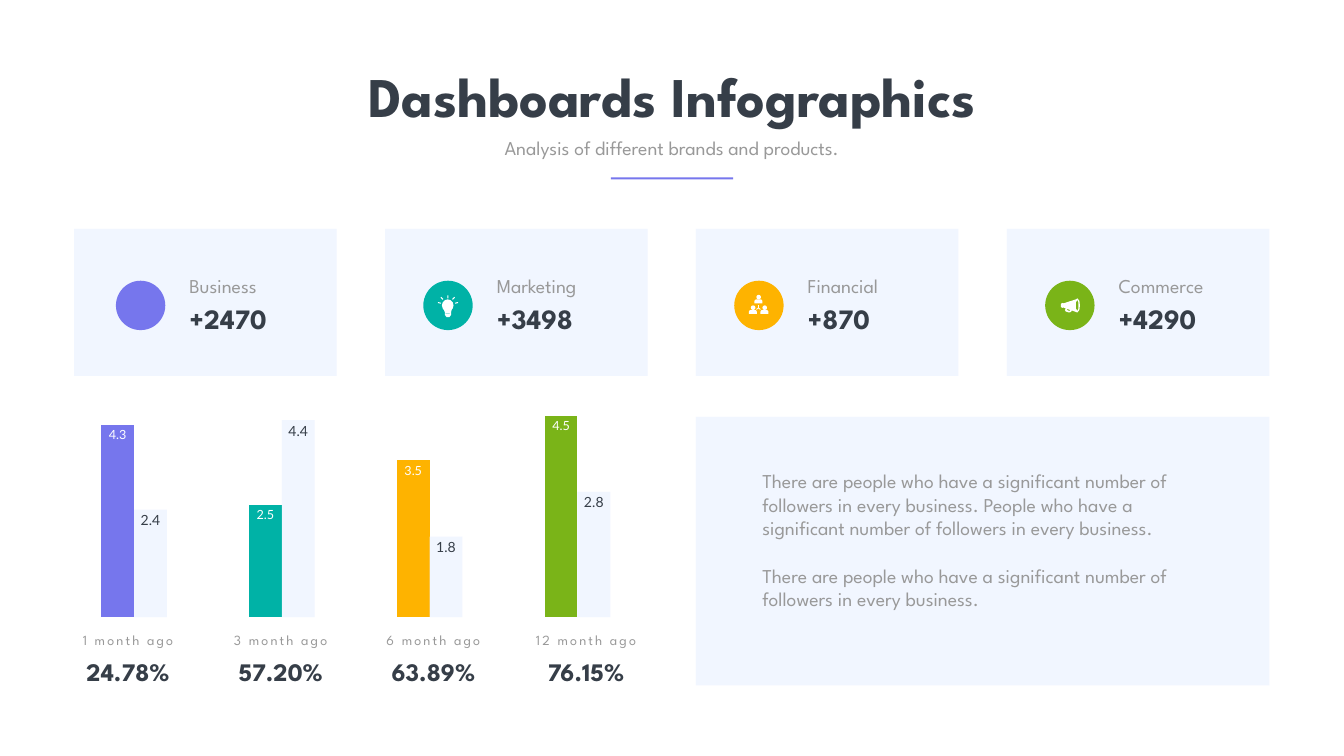
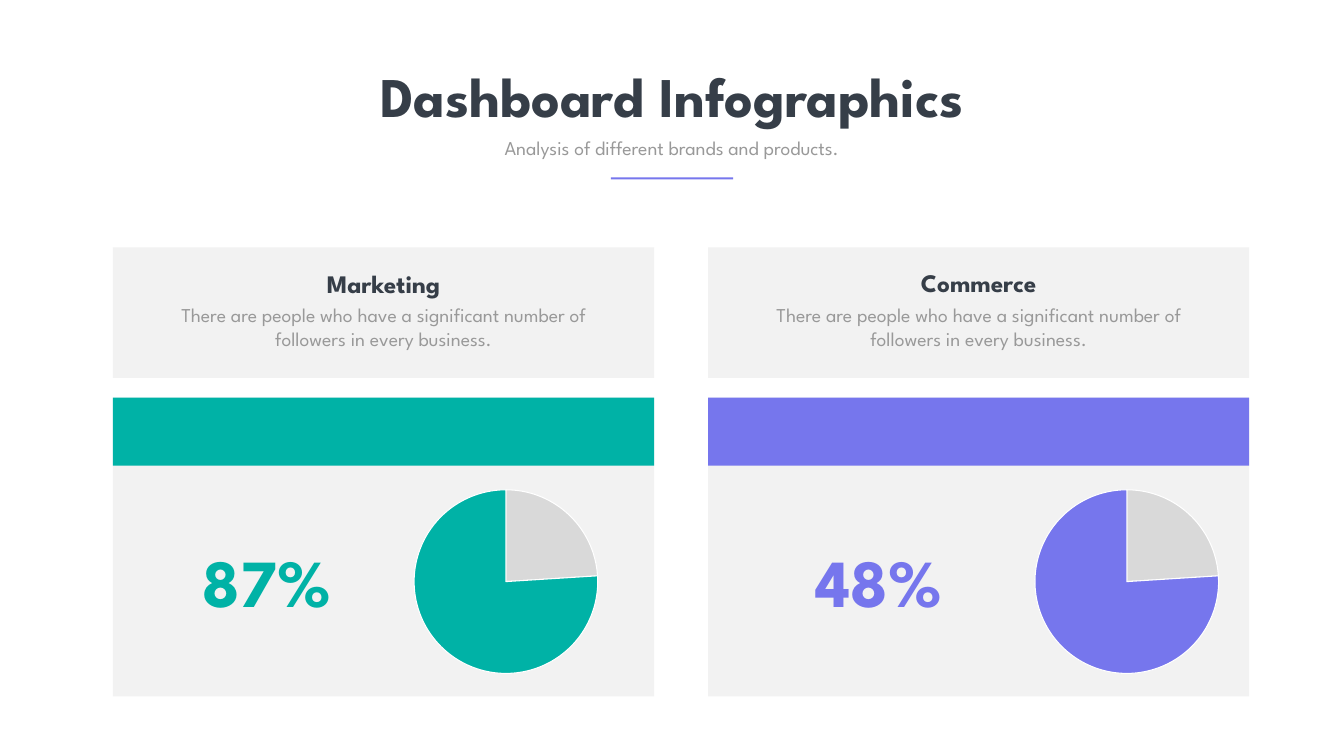
from dataclasses import dataclass

from lxml.etree import SubElement
from pptx import Presentation
from pptx.chart.data import CategoryChartData
from pptx.dml.color import RGBColor
from pptx.enum.chart import XL_CHART_TYPE, XL_LABEL_POSITION
from pptx.enum.shapes import MSO_CONNECTOR, MSO_SHAPE
from pptx.enum.text import MSO_AUTO_SIZE, PP_ALIGN
from pptx.oxml.ns import qn
from pptx.util import Pt

EMU_PER_PX = 9144  # 100 px to the inch


@dataclass(frozen=True)
class Theme:
    font: str = "League Spartan"
    chart_font: str = "Lato"
    pie_font: str = "Calibri"
    ink: str = "363E48"
    muted: str = "999999"
    white: str = "FFFFFF"
    violet: str = "7676ED"
    teal: str = "00B2A6"
    amber: str = "FEB300"
    green: str = "7AB418"
    tint: str = "EEF4FF"
    tint_alpha: str = "80000"
    panel: str = "F2F2F2"
    rest: str = "D9D9D9"
    title: int = 80
    body: int = 28
    figure: int = 40
    heading: int = 36
    caption: int = 20
    bar_label: int = 18
    pie_size: int = 10
    hero: int = 96


THEME = Theme()
SENTENCE = "There are people who have a significant number of followers in every business."


def px(*lengths):
    return [length * EMU_PER_PX for length in lengths]


def rgb(color):
    return RGBColor.from_string(color)


def paint(fill, color):
    fill.solid()
    fill.fore_color.rgb = rgb(color)


def soften_tint(element):
    """Make every tint fill inside the element slightly transparent."""
    for color in element.iter(qn("a:srgbClr")):
        if color.get("val") == THEME.tint:
            SubElement(color, qn("a:alpha"), val=THEME.tint_alpha)


class Deck:
    def __init__(self, theme):
        self.theme = theme
        self.presentation = Presentation()
        self.presentation.slide_width, self.presentation.slide_height = px(2667, 1500)
        self.shapes = None

    def new_slide(self, title):
        theme = self.theme
        blank = self.presentation.slide_layouts[6]
        self.shapes = self.presentation.slides.add_slide(blank).shapes
        self.text((645, 117, 1377, 145), title, theme.title, theme.ink,
                  bold=True, center=True, wrap=False)
        self.text((855, 265, 956, 57), "Analysis of different brands and products.",
                  theme.body, theme.muted, center=True)
        self.shape((1212, 352, 243, 4), theme.violet)

    def finish(self, shape, color):
        paint(shape.fill, color)
        shape.line.fill.background()
        shape.shadow.inherit = False
        soften_tint(shape.element)

    def shape(self, box, color, kind=MSO_SHAPE.RECTANGLE, rotation=0):
        shape = self.shapes.add_shape(kind, *px(*box))
        shape.rotation = rotation
        self.finish(shape, color)
        return shape

    def outline(self, origin, contours, color):
        """First contour is the outer edge, the others are holes."""
        first, *holes = contours
        builder = self.shapes.build_freeform(*first[0], scale=EMU_PER_PX)
        builder.add_line_segments(first[1:], close=True)
        for hole in holes:
            builder.move_to(*hole[0])
            builder.add_line_segments(hole[1:], close=True)
        self.finish(builder.convert_to_shape(*px(*origin)), color)

    def line(self, start, end, color, width):
        line = self.shapes.add_connector(MSO_CONNECTOR.STRAIGHT, *px(*start, *end))
        line.line.color.rgb = rgb(color)
        line.line.width = Pt(width)
        SubElement(line.element.spPr, qn("a:effectLst"))

    def text(self, box, content, size, color, bold=False, center=False,
             wrap=True, leading=None, tracking=None, gap=0):
        textbox = self.shapes.add_textbox(*px(*box))
        frame = textbox.text_frame
        frame.word_wrap = wrap
        frame.auto_size = MSO_AUTO_SIZE.SHAPE_TO_FIT_TEXT
        for index, words in enumerate([content] if isinstance(content, str) else content):
            paragraph = frame.add_paragraph() if index else frame.paragraphs[0]
            paragraph.alignment = PP_ALIGN.CENTER if center else PP_ALIGN.LEFT
            if leading:
                paragraph.line_spacing = Pt(leading)
            if index:
                paragraph.space_before = Pt(gap)
            run = paragraph.add_run()
            run.text = words
            run.font.name = self.theme.font
            run.font.size = Pt(size)
            run.font.bold = bold
            run.font.color.rgb = rgb(color)
        if tracking:
            for properties in textbox.element.iter(qn("a:rPr")):
                properties.set("spc", str(tracking * 100))

    def chart(self, kind, box, series, categories, font, size):
        data = CategoryChartData()
        data.categories = categories
        for name, values in series:
            data.add_series(name, values)
        chart = self.shapes.add_chart(kind, *px(*box), data).chart
        chart.has_legend = False
        chart.has_title = False
        chart.font.name = font
        chart.font.size = Pt(size)
        chart.font.color.rgb = rgb(self.theme.muted)
        return chart

    def columns(self, box, categories, now, before, colors):
        theme = self.theme
        chart = self.chart(XL_CHART_TYPE.COLUMN_CLUSTERED, box,
                           [("Series 1", now), ("Series 2", before)],
                           categories, theme.chart_font, theme.body)
        for axis in (chart.category_axis, chart.value_axis):
            axis.visible = False
            axis.has_major_gridlines = False
        chart.value_axis.minimum_scale = 0
        chart.value_axis.maximum_scale = 5
        plot = chart.plots[0]
        plot.gap_width = 250
        plot.overlap = 0
        plot.vary_by_categories = False
        styles = [(colors[0], theme.bar_label, theme.white),
                  (theme.tint, theme.caption, theme.ink)]
        for series, (color, size, label_color) in zip(plot.series, styles):
            paint(series.format.fill, color)
            labels = series.data_labels
            labels.show_value = True
            labels.position = XL_LABEL_POSITION.INSIDE_END
            labels.font.name = theme.chart_font
            labels.font.size = Pt(size)
            labels.font.color.rgb = rgb(label_color)
        for index, color in enumerate(colors):
            paint(plot.series[0].points[index].format.fill, color)
        soften_tint(chart.element)

    def pie(self, box, values, colors):
        chart = self.chart(XL_CHART_TYPE.PIE, box, [("Series 1", values)], ["1", "2"],
                           self.theme.pie_font, self.theme.pie_size)
        plot = chart.plots[0]
        plot.vary_by_categories = True
        for index, color in enumerate(colors):
            slice_format = plot.series[0].points[index].format
            paint(slice_format.fill, color)
            slice_format.line.color.rgb = rgb(self.theme.white)
            slice_format.line.width = Pt(1.5)


# Badge icons, drawn from the badge's top left corner
def draw_bulb(deck, x, y):
    white = deck.theme.white
    deck.shape((x + 37, y + 37, 23, 24), white, MSO_SHAPE.OVAL)
    neck = [(40, 55), (57, 55), (55, 63), (55, 68), (52, 72), (46, 72), (43, 68), (43, 63)]
    slit = [(44, 64), (53, 64), (53, 65), (44, 65)]
    deck.outline((x, y), [neck, slit], white)
    for dx, dy, angle in [(48, 29, 0), (59, 32, 45), (36, 32, 315), (31, 41, 285), (65, 41, 75)]:
        deck.shape((x + dx, y + dy, 2, 6), white, rotation=angle)


def draw_team(deck, x, y):
    white = deck.theme.white
    for dx, dy in [(40, 28), (29, 49), (52, 49)]:
        deck.shape((x + dx + 4, y + dy, 9, 9), white, MSO_SHAPE.OVAL)
        shoulders = deck.shape((x + dx, y + dy + 9, 16, 8), white,
                               MSO_SHAPE.ROUND_2_SAME_RECTANGLE)
        shoulders.adjustments[0] = 0.5
    for dx, dy in [(48, 48), (44, 57), (52, 57)]:
        deck.line((x + 48, y + 54), (x + dx, y + dy), white, 1.25)


def draw_megaphone(deck, x, y):
    body = [(64, 35), (61, 37), (36, 45), (34, 44), (31, 46), (31, 52), (34, 54),
            (36, 53), (41, 55), (39, 58), (41, 61), (47, 63), (49, 63), (52, 61),
            (53, 59), (61, 62), (64, 63), (68, 58), (69, 49), (68, 40)]
    handle = [(48, 60), (43, 58), (44, 56), (50, 58)]
    bell = [(64, 38), (66, 43), (66, 55), (64, 60), (61, 55), (61, 43)]
    deck.outline((x, y), [body, handle, bell], deck.theme.white)


def build_metrics(deck):
    theme = deck.theme
    deck.new_slide("Dashboards Infographics")

    # Metric cards
    metrics = [
        ("Business", "+2470", theme.violet, 83, None),
        ("Marketing", "+3498", theme.teal, 76, draw_bulb),
        ("Financial", "+870", theme.amber, 76, draw_team),
        ("Commerce", "+4290", theme.green, 76, draw_megaphone),
    ]
    for index, (name, figure, color, inset, draw_icon) in enumerate(metrics):
        card_x = 147 + 617 * index
        badge_x, badge_y = card_x + inset, 557
        deck.shape((card_x, 454, 521, 292), theme.tint)
        deck.shape((badge_x, badge_y, 98, 98), color, MSO_SHAPE.OVAL)
        if draw_icon:
            draw_icon(deck, badge_x, badge_y)
        deck.text((badge_x + 136, 528, 271, 62), name, theme.body, theme.muted, leading=40.8)
        deck.text((badge_x + 136, 594, 233, 77), figure, theme.figure, theme.ink, bold=True)

    # Column chart with a caption under each pair
    deck.columns((95, 771, 1222, 463), ["1", "2", "3", "4"],
                 [4.3, 2.5, 3.5, 4.5], [2.4, 4.4, 1.8, 2.8],
                 [color for _, _, color, _, _ in metrics])
    periods = [("1 month ago", "24.78%"), ("3 month ago", "57.20%"),
               ("6 month ago", "63.89%"), ("12 month ago", "76.15%")]
    for index, (period, share) in enumerate(periods):
        center = 254 + 303 * index
        deck.text((center - 97, 1298, 194, 71), share, theme.heading, theme.ink,
                  bold=True, center=True)
        deck.text((center - 132, 1249, 264, 44), period, theme.caption, theme.muted,
                  center=True, tracking=3)

    # Commentary
    deck.shape((1381, 827, 1138, 533), theme.tint)
    opening = SENTENCE + " People who have a significant number of followers in every business."
    deck.text((1503, 926, 894, 340), [opening, SENTENCE], theme.body, theme.muted, gap=34)


def build_shares(deck):
    theme = deck.theme
    deck.new_slide("Dashboard Infographics")
    columns = [("Marketing", "87%", theme.teal, 107, 486),
               ("Commerce", "48%", theme.violet, 140, 537)]
    for index, (name, share, color, share_inset, pie_inset) in enumerate(columns):
        x = 224 + 1181 * index
        # Heading card
        deck.shape((x, 491, 1074, 259), theme.panel)
        deck.text((x + 260, 527 - index, 554, 71), name, theme.heading, theme.ink,
                  bold=True, center=True)
        deck.text((x + 107, 597, 860, 104), SENTENCE, theme.body, theme.muted, center=True)
        # Share panel
        deck.shape((x, 789, 1074, 593), theme.panel)
        deck.shape((x, 789, 1074, 135), color)
        deck.pie((x + pie_inset, 958, 588, 392), [24, 76], [theme.rest, color])
        deck.text((x + share_inset, 1068, 397, 172), share, theme.hero, color,
                  bold=True, center=True)


def main():
    deck = Deck(THEME)
    build_metrics(deck)
    build_shares(deck)
    deck.presentation.save("out.pptx")


if __name__ == "__main__":
    main()
